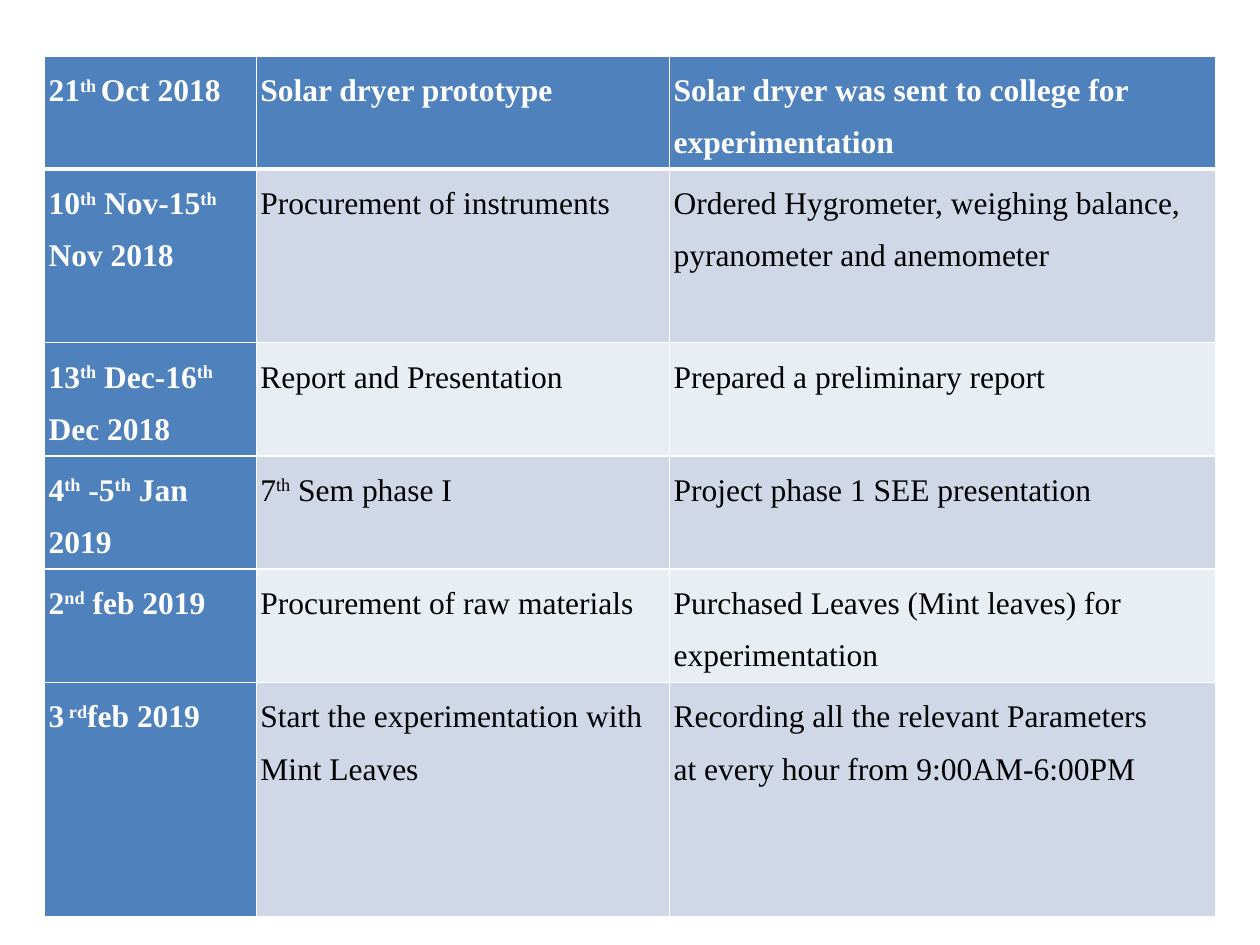
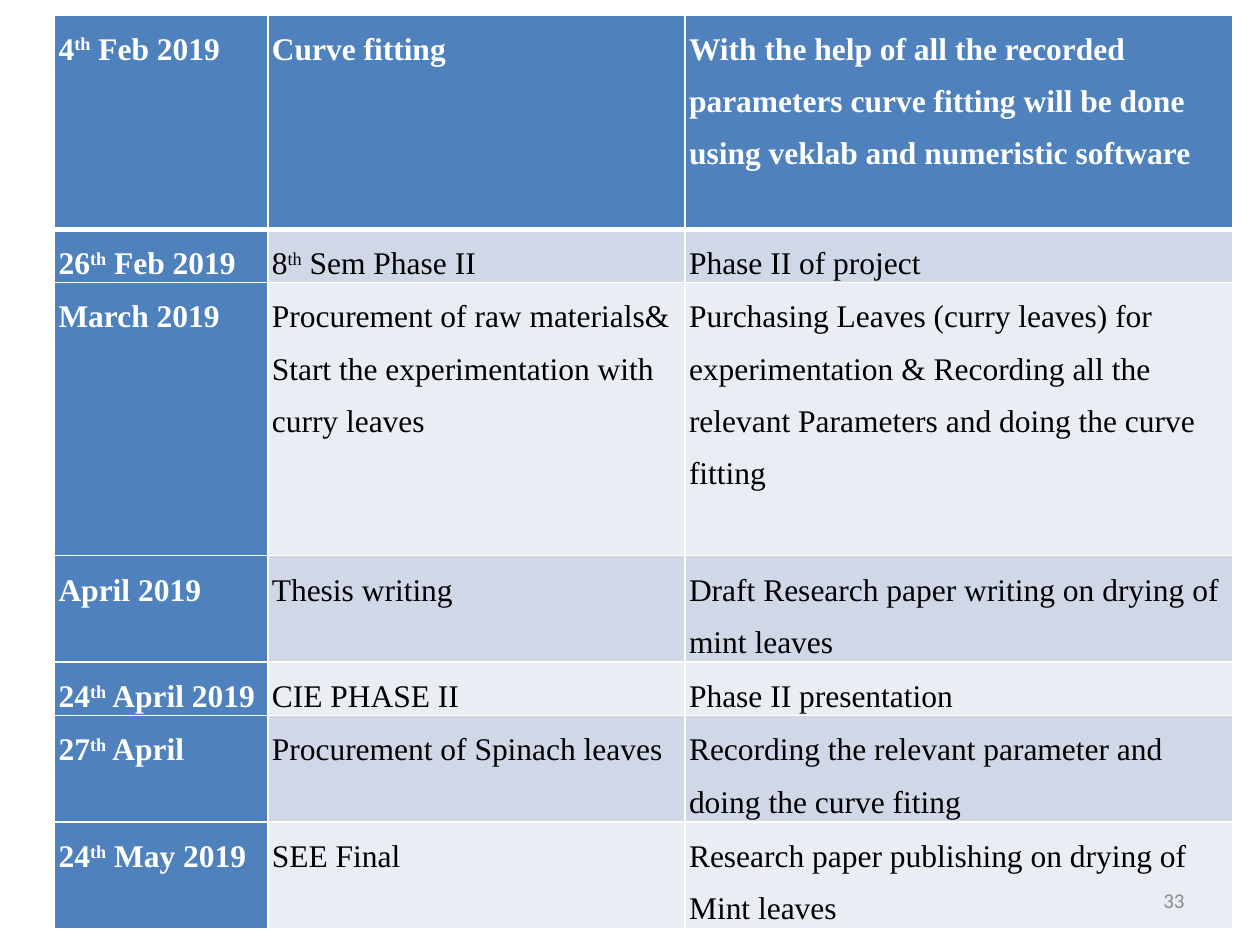
import pptx
import pptx.util
import pptx.dml.color
import pptx.enum.text
from lxml import etree

Cm, Pt = pptx.util.Cm, pptx.util.Pt
A = "http://schemas.openxmlformats.org/drawingml/2006/main"

BLUE, WHITE, BLACK, GREY = "4F81BD", "FFFFFF", "000000", "8C8C8C"
BANDS = ["E9EDF4", "D0D8E8"]
TABLE_FONT, NUMBER_FONT = "Times New Roman", "Calibri"

SCHEDULES = [
    {
        "left": 0.9, "top": 1.13,
        "cols": [4.27, 8.33, 11],
        "rows": [
            (2.28, "21^th ^Oct 2018", "Solar dryer prototype",
             "Solar dryer was sent to college for experimentation"),
            (3.5, "10^th^ Nov-15^th^ Nov 2018", "Procurement of instruments",
             "Ordered Hygrometer, weighing balance, pyranometer and anemometer"),
            (2.28, "13^th^ Dec-16^th^ Dec 2018", "Report and Presentation",
             "Prepared a preliminary report"),
            (2.28, "4^th^ -5^th^ Jan 2019", "7^th^ Sem phase I",
             "Project phase 1 SEE presentation"),
            (2.29, "2^nd^ feb 2019", "Procurement of raw materials",
             "Purchased Leaves (Mint leaves) for experimentation"),
            (4.72, "3^ rd^feb 2019", "Start the experimentation with Mint Leaves",
             "Recording all the relevant Parameters\nat every hour from 9:00AM-6:00PM"),
        ],
    },
    {
        "left": 1.1, "top": 0.3,
        "cols": [4.3, 8.41, 11.05],
        "rows": [
            (4.32, "4^th^ Feb 2019", "Curve fitting",
             "With the help of all the recorded parameters curve fitting "
             "will be done using veklab and numeristic software"),
            (1.07, "26^th^ Feb 2019", "8^th^ Sem Phase II", "Phase II of project"),
            (5.51, "March 2019",
             "Procurement of raw materials& Start the experimentation with curry leaves",
             "Purchasing Leaves (curry leaves) for experimentation & Recording all "
             "the relevant Parameters and doing the curve fitting"),
            (2.15, "April 2019", "Thesis writing",
             "Draft Research paper writing on drying of mint leaves"),
            (1.07, "24^th^ April 2019", "CIE PHASE II", "Phase II presentation"),
            (2.15, "27^th^ April", "Procurement of Spinach leaves",
             "Recording the relevant parameter and doing the curve fiting"),
            (2.15, "24^th^ May 2019", "SEE Final",
             "Research paper publishing on drying of Mint leaves"),
        ],
        "number": "33",
    },
]


def rgb(color):
    return pptx.dml.color.RGBColor.from_string(color)


def set_font(p, name, size, color, bold=False):
    p.font.name, p.font.size, p.font.bold = name, Pt(size), bold
    p.font.color.rgb = rgb(color)


def set_borders(cell, widths):
    tcPr = cell._tc.get_or_add_tcPr()
    for side, width in widths.items():
        ln = etree.SubElement(tcPr, f"{{{A}}}ln{side}", w=str(Pt(width)))
        fill = etree.SubElement(ln, f"{{{A}}}solidFill")
        etree.SubElement(fill, f"{{{A}}}srgbClr", val=WHITE)


def write_cell(cell, text, color, bold):
    cell.margin_left = cell.margin_right = Cm(0.08)
    cell.margin_top = cell.margin_bottom = 0
    tf = cell.text_frame
    for i, line in enumerate(text.split("\n")):
        p = tf.add_paragraph() if i else tf.paragraphs[0]
        p.line_spacing = 1.5
        set_font(p, TABLE_FONT, 18, color, bold)
        for j, part in enumerate(line.split("^")):
            if part:
                r = p.add_run()
                r.text = part
                if j % 2:
                    r._r.get_or_add_rPr().set("baseline", "30000")


def add_schedule(s, schedule):
    rows, cols = schedule["rows"], schedule["cols"]
    table = s.shapes.add_table(
        len(rows), len(cols), Cm(schedule["left"]), Cm(schedule["top"]),
        Cm(sum(cols)), Cm(sum(row[0] for row in rows))).table
    for column, width in zip(table.columns, cols):
        column.width = Cm(width)
    for i, (height, *texts) in enumerate(rows):
        table.rows[i].height = Cm(height)
        for j, text in enumerate(texts):
            cell = table.cell(i, j)
            heading = i == 0 or j == 0
            set_borders(cell, {"L": 1, "R": 1, "T": 3 if i == 1 else 1,
                               "B": 3 if i == 0 else 1})
            cell.fill.solid()
            cell.fill.fore_color.rgb = rgb(BLUE if heading else BANDS[i % 2])
            write_cell(cell, text, WHITE if heading else BLACK, heading)


def add_number(s, number):
    tf = s.shapes.add_textbox(Cm(18.2), Cm(17.65), Cm(5.93), Cm(1.01)).text_frame
    tf.word_wrap = True
    tf.vertical_anchor = pptx.enum.text.MSO_ANCHOR.MIDDLE
    p = tf.paragraphs[0]
    p.text = number
    p.alignment = pptx.enum.text.PP_ALIGN.RIGHT
    set_font(p, NUMBER_FONT, 12, GREY)


def main():
    prs = pptx.Presentation()
    prs.slide_width, prs.slide_height = Cm(25.4), Cm(19.05)
    for schedule in SCHEDULES:
        s = prs.slides.add_slide(prs.slide_layouts[6])
        add_schedule(s, schedule)
        if "number" in schedule:
            add_number(s, schedule["number"])
    prs.save("out.pptx")


if __name__ == "__main__":
    main()
